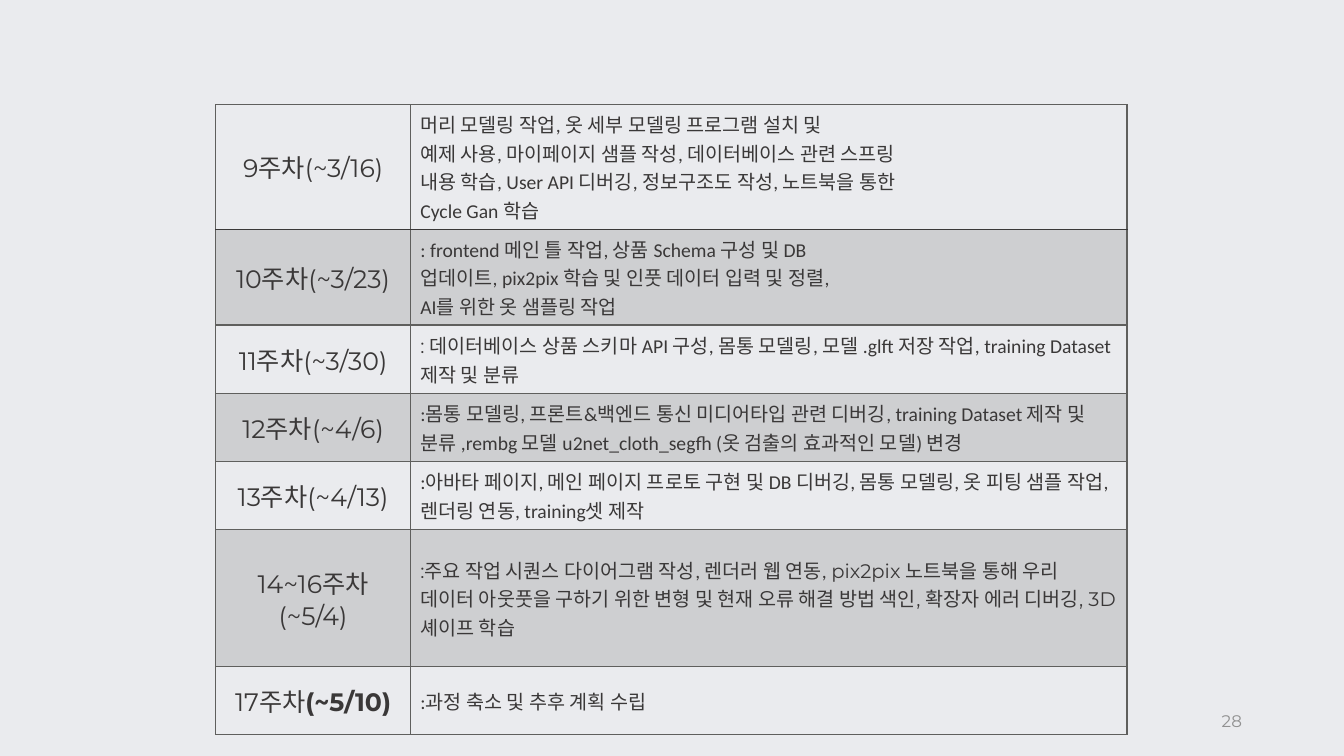
from lxml.etree import SubElement
from pptx import Presentation
from pptx.dml.color import RGBColor
from pptx.enum.text import MSO_ANCHOR as Anchor, PP_ALIGN as Align
from pptx.oxml import parse_xml
from pptx.oxml.ns import nsdecls, qn
from pptx.util import Cm, Pt

BACKGROUND, INK, LINE, MUTED = "EAEBEE", "3A3838", "5F5F5D", "919191"
BODY, HEADING = "Calibri", "Montserrat"
ROW_HEIGHT = 1.72

# Each week: label runs (text, bold), then paragraphs of (text, font) runs
SCHEDULE = [
    ([("9주차(~3/16)", False)],
     [[("머리 모델링 작업, 옷 세부 모델링 프로그램 설치 및", BODY)],
      [("예제 사용, 마이페이지 샘플 작성, 데이터베이스 관련 스프링", BODY)],
      [("내용 학습, User API 디버깅, 정보구조도 작성, 노트북을 통한", BODY)],
      [("Cycle Gan 학습", BODY)]]),
    ([("10주차(~3/23)", False)],
     [[(": frontend 메인 틀 작업, 상품 Schema 구성 및 DB", BODY)],
      [("업데이트, pix2pix 학습 및 인풋 데이터 입력 및 정렬,", BODY)],
      [("AI를 위한 옷 샘플링 작업", BODY)]]),
    ([("11주차(~3/30)", False)],
     [[(": ", HEADING),
       ("데이터베이스 상품 스키마 API 구성, 몸통 모델링, 모델 .glft 저장 작업, "
        "training Dataset 제작 및 분류", BODY)]]),
    ([("12주차(~4/6)", False)],
     [[(":몸통 모델링, 프론트&백엔드 통신 미디어타입 관련 디버깅, "
        "training Dataset 제작 및 분류 ,rembg 모델 u2net_cloth_segfh "
        "(옷 검출의 효과적인 모델) 변경", BODY)]]),
    ([("13주차(~4/13)", False)],
     [[(":아바타 페이지, 메인 페이지 프로토 구현 및 DB 디버깅, 몸통 모델링, "
        "옷 피팅 샘플 작업, 렌더링 연동, training셋 제작", BODY)]]),
    ([("14~16주차(~5/4)", False)],
     [[(":", HEADING),
       ("주요 작업 시퀀스 다이어그램 작성, 렌더러 웹 연동, ", BODY),
       ("pix2pix 노트북을 통해 우리 데이터 아웃풋을 구하기 위한 변형 및 "
        "현재 오류 해결 방법 색인, 확장자 에러 디버깅, 3D 셰이프 학습", HEADING)]]),
    ([("17주차", False), ("(~5/10)", True)],
     [[(":과정 축소 및 추후 계획 수립", BODY)]]),
]


def rgb(color):
    return RGBColor.from_string(color)


def format_font(font, name, size, color, bold=False):
    font.name, font.size, font.bold = name, Pt(size), bold
    font.color.rgb = rgb(color)


def add_run(paragraph, text, name, size, bold=False):
    run = paragraph.add_run()
    run.text = text
    format_font(run.font, name, size, INK, bold)


def fill_cell(cell, shaded):
    """Tint the cell at 20 % opacity, or leave it clear."""
    if not shaded:
        cell.fill.background()
        return
    cell.fill.solid()
    cell.fill.fore_color.rgb = rgb(LINE)
    color = cell.fill._xPr.find(qn("a:solidFill"))[0]
    SubElement(color, qn("a:alpha"), val="20000")


def border_cell(cell, colors):
    """Draw 1 pt borders; colors maps a side (L, R, T, B) to its colour."""
    properties = cell._tc.get_or_add_tcPr()
    for index, side in enumerate("LRTB"):
        properties.insert(index, parse_xml(
            f'<a:ln{side} {nsdecls("a")} w="{Pt(1)}"><a:solidFill>'
            f'<a:srgbClr val="{colors.get(side, LINE)}"/>'
            f'</a:solidFill></a:ln{side}>'))


def write_label(cell, runs):
    paragraph = cell.text_frame.paragraphs[0]
    paragraph.alignment = Align.CENTER
    for text, bold in runs:
        add_run(paragraph, text, HEADING, 18, bold)


def write_tasks(cell, paragraphs):
    text_frame = cell.text_frame
    for index, runs in enumerate(paragraphs):
        paragraph = text_frame.add_paragraph() if index else text_frame.paragraphs[0]
        for text, name in runs:
            add_run(paragraph, text, name, 14)


def add_schedule(slide):
    widths = [4.9, 18.06]
    heights = [ROW_HEIGHT] * len(SCHEDULE)
    heights[5] = 2 * ROW_HEIGHT
    table = slide.shapes.add_table(
        len(heights), len(widths), Cm(5.44), Cm(2.64),
        Cm(sum(widths)), Cm(sum(heights))).table
    table.first_row = table.horz_banding = False
    for column, width in zip(table.columns, widths):
        column.width = Cm(width)
    dark_sides = {0: {"B": INK}, 1: {"T": INK}}
    for index, (label, tasks) in enumerate(SCHEDULE):
        row = table.rows[index]
        row.height = Cm(heights[index])
        write_label(row.cells[0], label)
        write_tasks(row.cells[1], tasks)
        for cell in row.cells:
            cell.vertical_anchor = Anchor.MIDDLE
            fill_cell(cell, shaded=index % 2 == 1)
            border_cell(cell, dark_sides.get(index, {}))


def add_page_number(slide, number):
    text_frame = slide.shapes.add_textbox(
        Cm(23.93), Cm(17.65), Cm(7.62), Cm(1.02)).text_frame
    text_frame.word_wrap = True
    text_frame.vertical_anchor = Anchor.MIDDLE
    text_frame.text = str(number)
    paragraph = text_frame.paragraphs[0]
    paragraph.alignment = Align.RIGHT
    format_font(paragraph.runs[0].font, HEADING, 12, MUTED)


def main():
    presentation = Presentation()
    presentation.slide_width, presentation.slide_height = Cm(33.87), Cm(19.05)
    slide = presentation.slides.add_slide(presentation.slide_layouts[6])
    slide.background.fill.solid()
    slide.background.fill.fore_color.rgb = rgb(BACKGROUND)
    add_schedule(slide)
    add_page_number(slide, 28)
    presentation.save("out.pptx")


if __name__ == "__main__":
    main()
